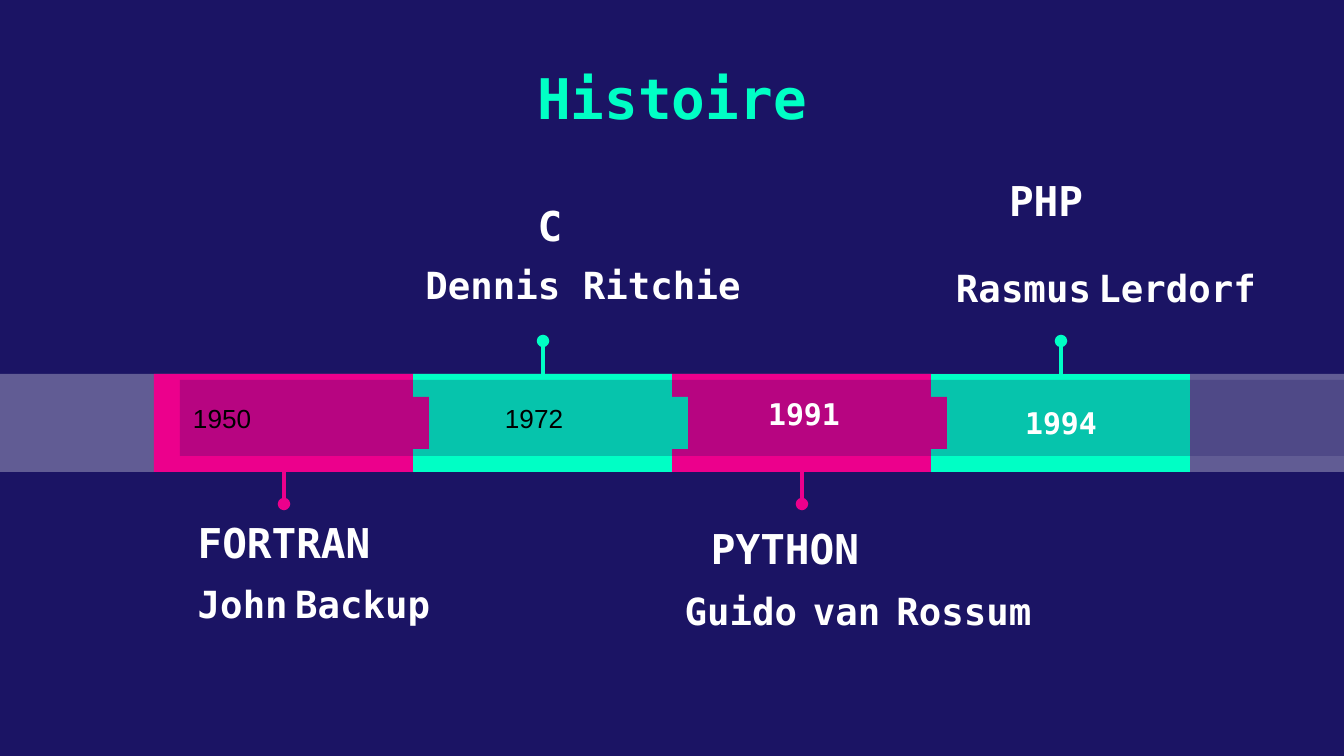
"""Build a timeline slide on the history of programming languages."""

from lxml.etree import SubElement
from pptx import Presentation
from pptx.dml.color import RGBColor
from pptx.enum.shapes import MSO_CONNECTOR
from pptx.enum.text import MSO_ANCHOR, PP_ALIGN
from pptx.oxml.ns import qn
from pptx.util import Pt

PX = 914400 / 134.4
THEME = {
    "navy": RGBColor.from_string("1B1464"),
    "mint": RGBColor.from_string("00FFC5"),
    "pink": RGBColor.from_string("EC008C"),
    "white": RGBColor.from_string("FFFFFF"),
    "black": RGBColor.from_string("000000"),
    "mono": "DejaVu Sans Mono",
    "sans": "Arial",
    "title": 30,
    "language": 22,
    "author": 20,
    "year": 16,
    "small": 14,
}
BAND_TOP, BAND_BOTTOM = 374, 472
TIMELINE_LEFT, STEP = 154, 259


def px(length):
    return round(length * PX)


def add_polygon(points, color, opacity=100):
    builder = slide.shapes.build_freeform(*points[0], scale=PX)
    builder.add_line_segments(points[1:], close=True)
    shape = builder.convert_to_shape()
    shape.shadow.inherit = False
    shape.line.fill.background()
    shape.fill.solid()
    shape.fill.fore_color.rgb = color
    if opacity < 100:
        color_element = shape.fill._xPr.find(qn("a:solidFill"))[0]
        SubElement(color_element, qn("a:alpha"), val=str(opacity * 1000))
    return shape


def add_label(pieces, box, color, vertical_inset=0):
    text_box = slide.shapes.add_textbox(*map(px, box))
    text_frame = text_box.text_frame
    text_frame.word_wrap = True
    text_frame.margin_left = text_frame.margin_right = px(13)
    text_frame.margin_top = text_frame.margin_bottom = px(vertical_inset)
    paragraph = text_frame.paragraphs[0]
    paragraph.alignment = PP_ALIGN.CENTER
    for text, font_name, size in pieces:
        run = paragraph.add_run()
        run.text = text
        run.font.name = font_name
        run.font.size = Pt(size)
        run.font.bold = True
        run.font.color.rgb = color
    return text_frame


presentation = Presentation()
presentation.slide_width = px(1344)
presentation.slide_height = px(756)
slide = presentation.slides.add_slide(presentation.slide_layouts[6])
slide.background.fill.solid()
slide.background.fill.fore_color.rgb = THEME["navy"]

add_polygon(
    [(0, BAND_TOP), (0, BAND_BOTTOM), (1344, BAND_BOTTOM), (1344, BAND_TOP)],
    THEME["white"], 31,
)

for index in reversed(range(4)):
    left = TIMELINE_LEFT + index * STEP
    right = left + STEP
    tab = [(right, 449), (right + 16, 449), (right + 16, 397), (right, 397)]
    outline = [(left, BAND_TOP), (left, BAND_BOTTOM), (right, BAND_BOTTOM)]
    outline += (tab if index < 3 else []) + [(right, BAND_TOP)]
    add_polygon(outline, THEME["mint" if index % 2 else "pink"])

overlay = add_polygon(
    [(180, 380), (180, 456), (1524, 456), (1524, 380)], THEME["navy"], 25
)
text_frame = overlay.text_frame
text_frame.vertical_anchor = MSO_ANCHOR.MIDDLE
text_frame.margin_left = text_frame.margin_right = px(13)
text_frame.margin_top = text_frame.margin_bottom = px(13)
paragraph = text_frame.paragraphs[0]
paragraph.text = "1950\t1972"
paragraph.alignment = PP_ALIGN.LEFT
tab_list = SubElement(paragraph._p.get_or_add_pPr(), qn("a:tabLst"))
SubElement(tab_list, qn("a:tab"), pos=str(px(312)), algn="l")
for run in paragraph.runs:
    run.font.name = THEME["sans"]
    run.font.size = Pt(THEME["small"])
    run.font.color.rgb = THEME["black"]

for index in range(4):
    center = TIMELINE_LEFT + index * STEP + 130
    start, end, color = (341, 375, "mint") if index % 2 else (504, 470, "pink")
    connector = slide.shapes.add_connector(
        MSO_CONNECTOR.STRAIGHT, px(center), px(start), px(center), px(end)
    )
    connector.line.color.rgb = THEME[color]
    connector.line.width = Pt(2.25)
    SubElement(connector.line._get_or_add_ln(), qn("a:headEnd"), type="oval")
    SubElement(connector._element.spPr, qn("a:effectLst"))

mono, sans = THEME["mono"], THEME["sans"]
add_label([("Histoire", mono, THEME["title"])], (188, 51, 968, 98), THEME["mint"], 13)

for year, left, top in [("1991", 689, 383), ("1994", 946, 392)]:
    add_label([(year, mono, THEME["year"])], (left, top, 230, 52), THEME["white"], 13)

for language, left, top in [
    ("FORTRAN", 129, 517),
    ("C", 395, 200),
    ("PYTHON", 630, 523),
    ("PHP", 891, 175),
]:
    add_label([(language, mono, THEME["language"])], (left, top, 310, 52), THEME["white"])

for author, left, top, width, gap_font, gap_size, anchor in [
    ("John Backup", 159, 574, 310, sans, "small", MSO_ANCHOR.TOP),
    ("Dennis Ritchie", 378, 232, 410, mono, "author", MSO_ANCHOR.BOTTOM),
    ("Guido van Rossum", 655, 581, 406, mono, "small", MSO_ANCHOR.TOP),
    ("Rasmus Lerdorf", 923, 258, 366, sans, "small", MSO_ANCHOR.TOP),
]:
    pieces = []
    for word in author.split():
        if pieces:
            pieces.append((" ", gap_font, THEME[gap_size]))
        pieces.append((word, mono, THEME["author"]))
    text_frame = add_label(pieces, (left, top, width, 75), THEME["white"])
    text_frame.vertical_anchor = anchor
    text_frame.paragraphs[0].line_spacing = 1.15

presentation.save("out.pptx")
